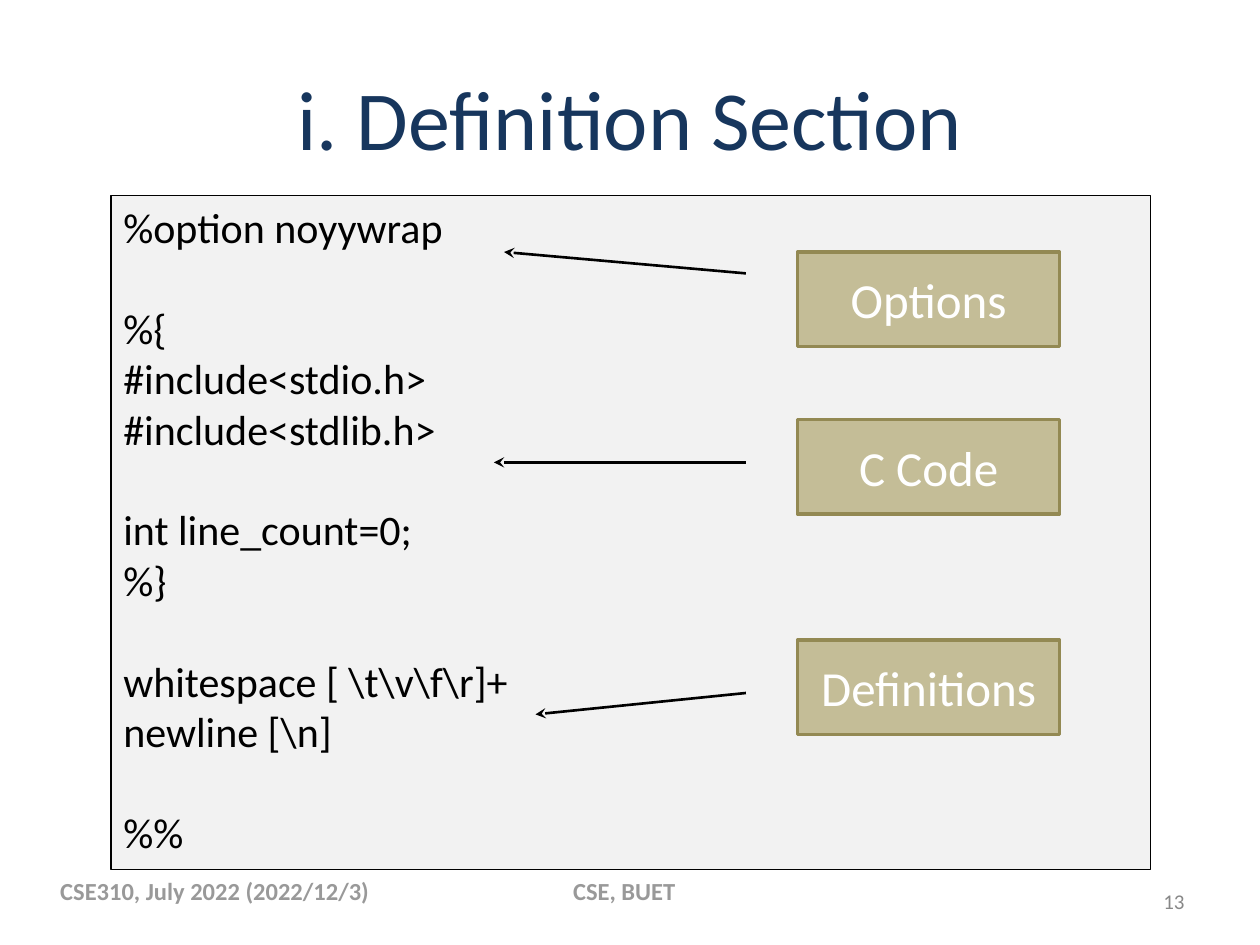
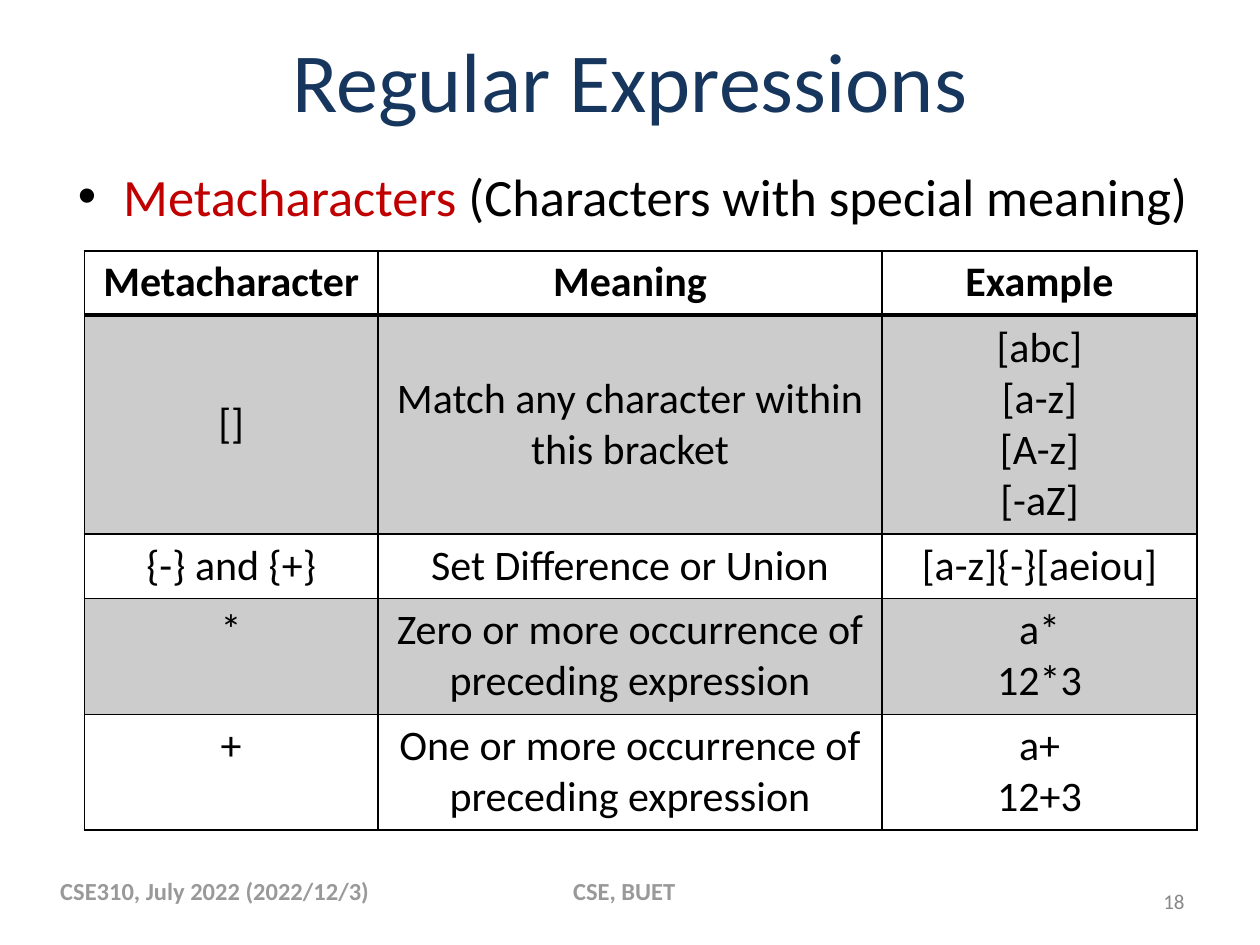
from lxml import etree
from pptx import Presentation
from pptx.dml.color import RGBColor
from pptx.enum.shapes import MSO_CONNECTOR, MSO_SHAPE
from pptx.enum.text import MSO_ANCHOR, PP_ALIGN
from pptx.oxml.ns import qn
from pptx.util import Inches, Pt

COLORS = {
    "title": "17365D", "text": "000000", "accent": "C00000", "footer": "999999",
    "number": "888888", "code_fill": "F2F2F2", "label_fill": "C4BD97",
    "label_line": "938953", "label_text": "FFFFFF",
}
FONT = "Calibri"
FOOTERS = [("CSE310, July 2022 (2022/12/3)", 0.38, 2.66), ("CSE, BUET", 4.45, 1.11)]

CODE_BLOCKS = [
    ["%option noyywrap"],
    ["%{", "#include<stdio.h>", "#include<stdlib.h>"],
    ["int line_count=0;", "%}"],
    [r"whitespace [ \t\v\f\r]+", r"newline [\n]"],
    ["%%"],
]
CODE_PITCH = Pt(28.8)
LABELS = [
    ("Options", 2, (5.92, 2.17), (4, 2)),
    ("C Code", 3.33, (5.92, 3.67), (3.92, 3.67)),
    ("Definitions", 5.08, (5.92, 5.5), (4.25, 5.67)),
]

BULLET = [("Metacharacters", "accent"), (" (Characters with special meaning)", "text")]
COLUMN_WIDTHS = [2.33, 4, 2.5]
METACHARACTERS = [
    (["Metacharacter"], ["Meaning"], ["Example"]),
    (["[]"], ["Match any character within this bracket"], ["[abc]", "[a-z]", "[A-z]", "[-aZ]"]),
    (["{-} and {+}"], ["Set Difference or Union"], ["[a-z]{-}[aeiou]"]),
    (["*"], ["Zero or more occurrence of preceding expression"], ["a*", "12*3"]),
    (["+"], ["One or more occurrence of preceding expression"], ["a+", "12+3"]),
]


def rgb(name):
    return RGBColor.from_string(COLORS[name])


def style(p, size, color, align=PP_ALIGN.LEFT, bold=False):
    p.alignment = align
    p.font.name, p.font.size, p.font.bold = FONT, Pt(size), bold
    p.font.color.rgb = rgb(color)


def write(tf, lines, *args, **kwargs):
    for i, line in enumerate(lines):
        p = tf.add_paragraph() if i else tf.paragraphs[0]
        p.text = line
        style(p, *args, **kwargs)


def add_text(s, text, box, *args, wrap=True, **kwargs):
    tf = s.shapes.add_textbox(*map(Inches, box)).text_frame
    tf.word_wrap, tf.vertical_anchor = wrap, MSO_ANCHOR.MIDDLE
    write(tf, [text], *args, **kwargs)


def add_box(s, box, fill, line, width, anchor):
    sp = s.shapes.add_shape(MSO_SHAPE.RECTANGLE, *map(Inches, box))
    sp.shadow.inherit = False
    sp.fill.solid()
    sp.fill.fore_color.rgb = rgb(fill)
    sp.line.color.rgb = rgb(line)
    sp.line.width = Pt(width)
    sp.text_frame.word_wrap, sp.text_frame.vertical_anchor = True, anchor
    return sp.text_frame


def add_arrow(s, start, end):
    c = s.shapes.add_connector(MSO_CONNECTOR.STRAIGHT, *map(Inches, start + end))
    c.line.color.rgb = rgb("text")
    c.line.width = Pt(1.5)
    etree.SubElement(c.line._get_or_add_ln(), qn("a:tailEnd"), type="stealth")
    etree.SubElement(c._element.spPr, qn("a:effectLst"))


def set_borders(cell, top, bottom):
    tc_pr = cell._tc.get_or_add_tcPr()
    for i, (side, width) in enumerate(zip("LRTB", (1, 1, top, bottom))):
        ln = etree.Element(qn(f"a:ln{side}"), w=str(Pt(width)))
        fill = etree.SubElement(ln, qn("a:solidFill"))
        etree.SubElement(fill, qn("a:srgbClr"), val=COLORS["text"])
        tc_pr.insert(i, ln)


def shade(cell, percent):
    cell.fill.solid()
    cell.fill.fore_color.rgb = rgb("text")
    clr = cell._tc.tcPr.find(".//" + qn("a:srgbClr"))
    etree.SubElement(clr, qn("a:alpha"), val=str(percent * 1000))


def new_slide(prs, title, title_top, number):
    s = prs.slides.add_slide(prs.slide_layouts[6])
    add_text(s, title, (0.5, title_top, 9, 1.25), 48, "title", PP_ALIGN.CENTER)
    for text, left, width in FOOTERS:
        add_text(s, text, (left, 6.89, width, 0.35), 14, "footer", bold=True, wrap=False)
    add_text(s, str(number), (7.17, 6.95, 2.33, 0.4), 12, "number", PP_ALIGN.RIGHT)
    return s


def definition_slide(prs):
    s = new_slide(prs, "i. Definition Section", 0.3, 13)
    tf = add_box(s, (0.88, 1.55, 8.25, 5.35), "code_fill", "text", 0.75, MSO_ANCHOR.TOP)
    write(tf, sum(CODE_BLOCKS, []), 24, "text")
    block_starts = {sum(map(len, CODE_BLOCKS[:i])) for i in range(1, len(CODE_BLOCKS))}
    for i, p in enumerate(tf.paragraphs):
        p.line_spacing = CODE_PITCH
        if i in block_starts:
            p.space_before = CODE_PITCH
    for text, top, start, end in LABELS:
        add_arrow(s, start, end)
        tf = add_box(s, (6.33, top, 2.08, 0.75), "label_fill", "label_line", 2, MSO_ANCHOR.MIDDLE)
        write(tf, [text], 28, "label_text", PP_ALIGN.CENTER)


def add_metacharacter_table(s):
    line_counts = [max(len(example), 1) for _, _, example in METACHARACTERS]
    heights = [0.1 + 0.41 * n for n in line_counts]
    table = s.shapes.add_table(
        len(METACHARACTERS), len(COLUMN_WIDTHS), Inches(0.67), Inches(1.99),
        Inches(sum(COLUMN_WIDTHS)), Inches(sum(heights))).table
    table.first_row = table.horz_banding = False
    for column, width in zip(table.columns, COLUMN_WIDTHS):
        column.width = Inches(width)
    for r, row in enumerate(METACHARACTERS):
        table.rows[r].height = Inches(heights[r])
        for c, lines in enumerate(row):
            cell = table.cell(r, c)
            write(cell.text_frame, lines, 24, "text", PP_ALIGN.CENTER, bold=r == 0)
            cell.vertical_anchor = MSO_ANCHOR.MIDDLE if r == 1 else MSO_ANCHOR.TOP
            if r % 2:
                shade(cell, 20)
            else:
                cell.fill.background()
            set_borders(cell, 2 if r == 1 else 1, 2 if r == 0 else 1)


def add_bullet(s):
    tf = s.shapes.add_textbox(*map(Inches, (0.5, 1.25, 9.33, 5.92))).text_frame
    tf.word_wrap = True
    p = tf.paragraphs[0]
    p_pr = p._p.get_or_add_pPr()
    p_pr.set("marL", str(Inches(0.38)))
    p_pr.set("indent", str(Inches(-0.36)))
    bullet_color = etree.SubElement(p_pr, qn("a:buClr"))
    etree.SubElement(bullet_color, qn("a:srgbClr"), val=COLORS["text"])
    etree.SubElement(p_pr, qn("a:buFont"), typeface="Arial")
    etree.SubElement(p_pr, qn("a:buChar"), char="•")
    p.font.name, p.font.size = FONT, Pt(30)
    for text, color in BULLET:
        r = p.add_run()
        r.text = text
        r.font.color.rgb = rgb(color)


def expressions_slide(prs):
    s = new_slide(prs, "Regular Expressions", 0, 18)
    add_metacharacter_table(s)
    add_bullet(s)


def main():
    prs = Presentation()
    prs.slide_width, prs.slide_height = Inches(10), Inches(7.5)
    definition_slide(prs)
    expressions_slide(prs)
    prs.save("out.pptx")


if __name__ == "__main__":
    main()
